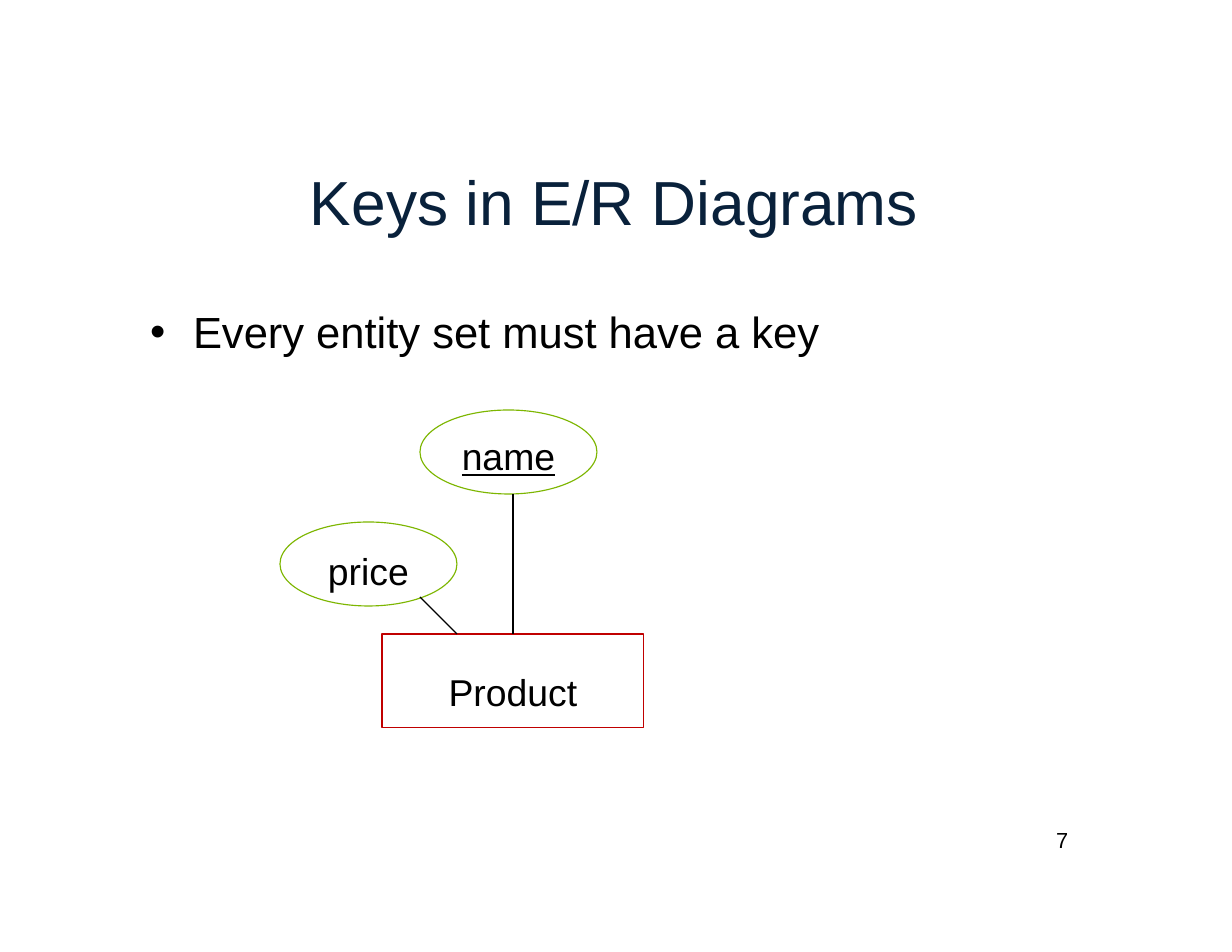
from dataclasses import dataclass

from lxml import etree
from pptx import Presentation
from pptx.dml.color import RGBColor
from pptx.enum.shapes import MSO_CONNECTOR as CONN, MSO_SHAPE as SHAPE
from pptx.enum.text import MSO_ANCHOR as ANCHOR, MSO_AUTO_SIZE as FIT, PP_ALIGN as ALIGN
from pptx.oxml.ns import qn
from pptx.util import Emu, Pt

PX_PER_INCH = 112


def px(n):
    return Emu(round(n * 914400 / PX_PER_INCH))


@dataclass(frozen=True)
class Theme:
    font: str = "Arial"
    title: str = "09213B"
    ink: str = "000000"
    attribute: str = "7DB601"
    entity: str = "C00000"
    title_pt: int = 40
    body_pt: int = 28
    label_pt: int = 24
    number_pt: int = 14
    line_pt: float = 0.75


class ErSlide:
    def __init__(self, prs, theme):
        self.theme = theme
        self.s = prs.slides.add_slide(prs.slide_layouts[1])

    def set_text(self, sp, text, size, color=None, align=ALIGN.LEFT,
                 anchor=ANCHOR.TOP, left=0, top=0):
        """Set one paragraph of text; left and top are insets."""
        tf = sp.text_frame
        tf.text = text
        tf.auto_size, tf.word_wrap = FIT.NONE, True
        tf.vertical_anchor = anchor
        tf.margin_left, tf.margin_top = px(left), px(top)
        tf.margin_right = tf.margin_bottom = 0
        p = tf.paragraphs[0]
        p.alignment, p.space_before = align, Pt(0)
        font = p.runs[0].font
        font.name, font.size = self.theme.font, Pt(size)
        font.color.rgb = RGBColor.from_string(color or self.theme.ink)
        return p

    def place(self, sp, x, y, w, h):
        sp.left, sp.top, sp.width, sp.height = map(px, (x, y, w, h))

    def title(self, text, *box):
        sp = self.s.shapes.title
        self.place(sp, *box)
        self.set_text(sp, text, self.theme.title_pt, self.theme.title, anchor=ANCHOR.BOTTOM)

    def bullet(self, text, *box, indent=43):
        sp = self.s.placeholders[1]
        self.place(sp, *box)
        p = self.set_text(sp, text, self.theme.body_pt, top=4)
        pPr = p._p.get_or_add_pPr()
        pPr.set("marL", str(px(indent)))
        pPr.set("indent", str(-px(indent)))
        etree.SubElement(pPr, qn("a:buChar")).set("char", "•")

    def node(self, kind, text, color, *box, drop, key=False):
        """Draw an outlined shape whose label sits below centre by half of drop."""
        sp = self.s.shapes.add_shape(kind, *map(px, box))
        sp.shadow.inherit = False
        sp.fill.background()
        sp.line.color.rgb = RGBColor.from_string(color)
        sp.line.width = Pt(self.theme.line_pt)
        p = self.set_text(sp, text, self.theme.label_pt, align=ALIGN.CENTER,
                          anchor=ANCHOR.MIDDLE, top=drop)
        if key:
            p.runs[0].font.underline = True
        return sp

    def attribute(self, text, x, y, **style):
        return self.node(SHAPE.OVAL, text, self.theme.attribute, x, y, 177, 84, **style)

    def entity(self, text, *box, **style):
        return self.node(SHAPE.RECTANGLE, text, self.theme.entity, *box, **style)

    def link(self, *ends):
        c = self.s.shapes.add_connector(CONN.STRAIGHT, *map(px, ends))
        c.line.color.rgb = RGBColor.from_string(self.theme.ink)
        c.line.width = Pt(self.theme.line_pt)
        etree.SubElement(c._element.spPr, qn("a:effectLst"))
        return c

    def number(self, text, *box):
        sp = self.s.shapes.add_textbox(*map(px, box))
        self.set_text(sp, text, self.theme.number_pt, left=4)


def main():
    prs = Presentation()
    prs.slide_width, prs.slide_height = px(1232), px(952)
    slide = ErSlide(prs, Theme())
    slide.title("Keys in E/R Diagrams", 310, 160, 612, 78)
    slide.bullet("Every entity set must have a key", 150, 301, 672, 403)
    product = slide.entity("Product", 382, 634, 262, 94, drop=21)
    slide.attribute("price", 280, 522, drop=14)
    slide.attribute("name", 420, 410, drop=8, key=True)
    slide.link(420, 597, 457, 634)
    slide.link(513, 494, 513, 634).end_connect(product, 0)
    slide.number("7", 1052, 827, 34, 28)
    prs.save("out.pptx")


if __name__ == "__main__":
    main()
